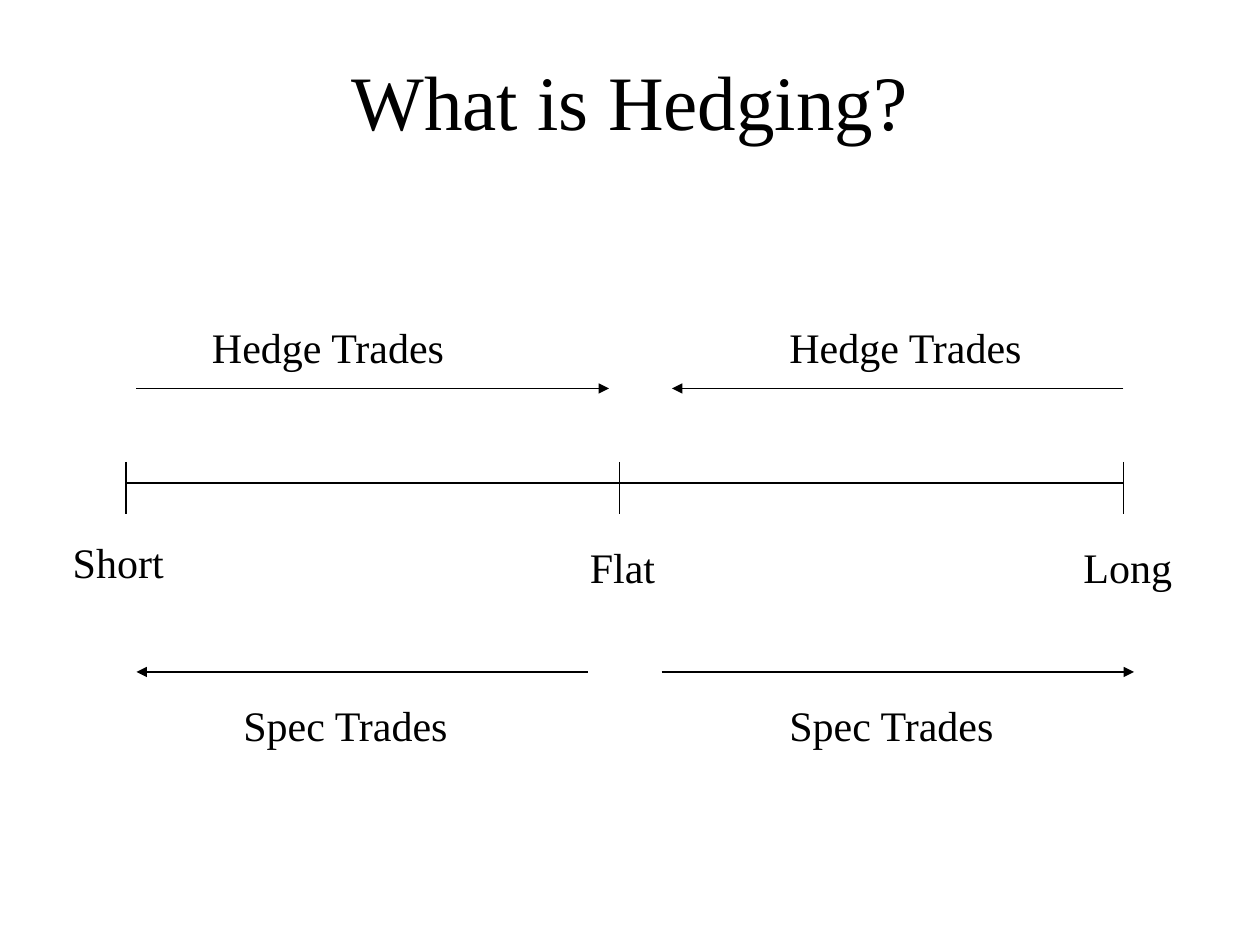
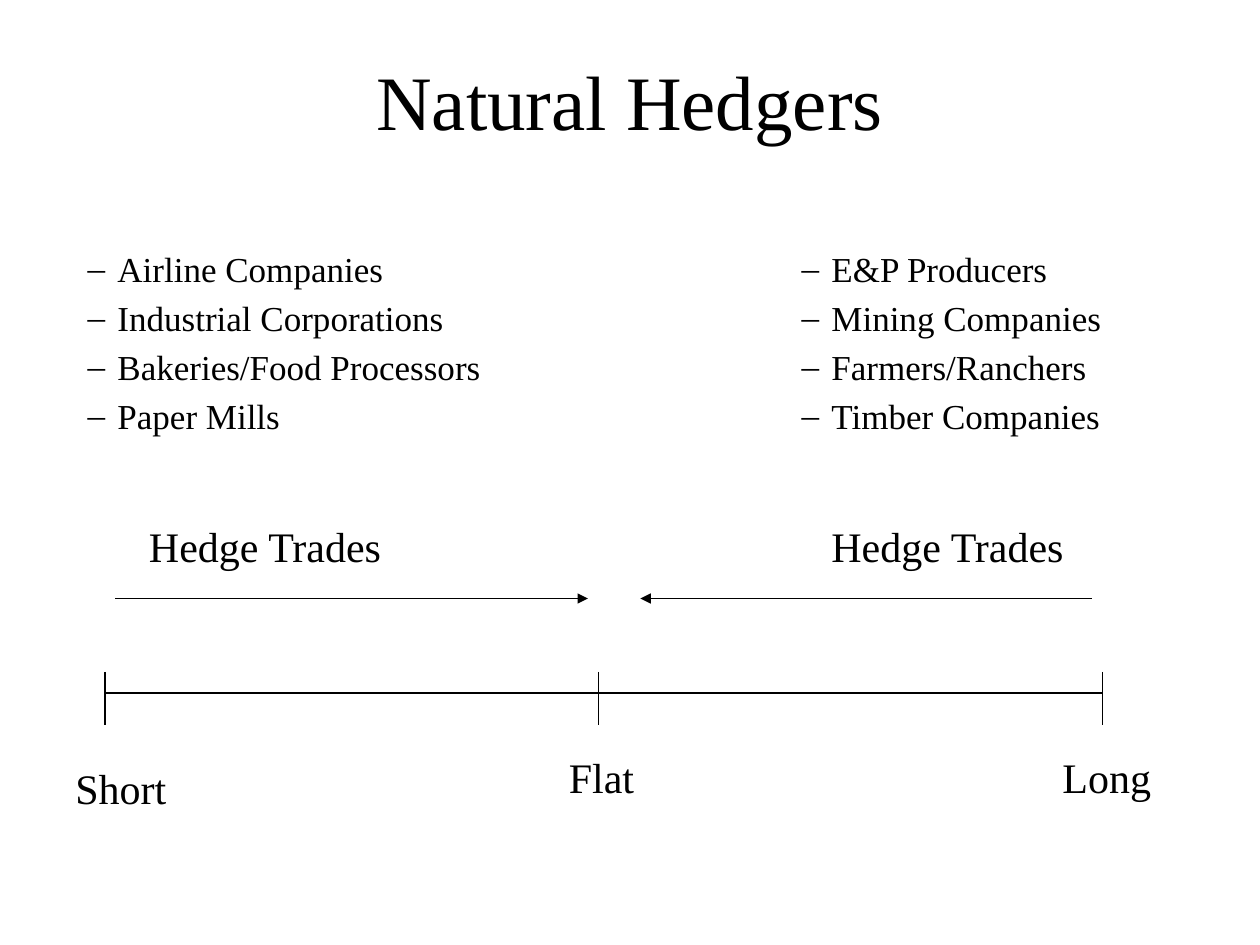
from dataclasses import dataclass

import lxml.etree
import pptx
import pptx.dml.color
import pptx.enum.shapes
import pptx.enum.text
import pptx.oxml.ns
import pptx.shapes.connector
import pptx.slide
import pptx.util

Pt = pptx.util.Pt
Align = pptx.enum.text.PP_ALIGN
AutoSize = pptx.enum.text.MSO_AUTO_SIZE


@dataclass(frozen=True)
class Theme:
    font: str = "Times New Roman"
    ink: pptx.dml.color.RGBColor = pptx.dml.color.RGBColor(0, 0, 0)
    title_size: float = 44
    label_size: float = 24
    list_size: float = 20
    line_width: float = 0.75
    label_height: float = 36
    list_height: float = 117
    list_indent: float = 36
    list_hanging: float = 17
    list_gap: float = 4


THEME = Theme()
LABEL_WIDTHS = {"Short": 67, "Flat": 52, "Long": 65, "Hedge Trades": 148, "Spec Trades": 132}


@dataclass(frozen=True)
class Label:
    text: str
    left: float
    top: float


@dataclass(frozen=True)
class Arrow:
    start: float
    end: float
    y: float


@dataclass(frozen=True)
class Scale:
    left: float
    y: float
    length: float = 570
    middle: float = 282
    tick_above: float = 12
    tick_below: float = 18


@dataclass(frozen=True)
class BulletList:
    left: float
    top: float
    width: float
    items: tuple[str, ...]


@dataclass(frozen=True)
class HedgePage:
    title: str
    scale: Scale
    arrows: tuple[Arrow, ...]
    labels: tuple[Label, ...]
    lists: tuple[BulletList, ...] = ()


PAGES = (
    HedgePage(
        "What is Hedging?",
        Scale(72, 276),
        (Arrow(78, 348, 222), Arrow(642, 384, 222), Arrow(336, 78, 384), Arrow(378, 648, 384)),
        (
            Label("Short", 34.5, 303),
            Label("Hedge Trades", 114, 180),
            Label("Hedge Trades", 444, 180),
            Label("Spec Trades", 132, 396),
            Label("Spec Trades", 444, 396),
        ),
    ),
    HedgePage(
        "Natural Hedgers",
        Scale(60, 396),
        (Arrow(66, 336, 342), Arrow(624, 366, 342)),
        (
            Label("Short", 36, 432),
            Label("Hedge Trades", 78, 294),
            Label("Hedge Trades", 468, 294),
        ),
        (
            BulletList(24, 138, 267, (
                "Airline Companies",
                "Industrial Corporations",
                "Bakeries/Food Processors",
                "Paper Mills",
            )),
            BulletList(432, 138, 214, (
                "E&P Producers",
                "Mining Companies",
                "Farmers/Ranchers",
                "Timber Companies",
            )),
        ),
    ),
)


def add_text(
    page: pptx.slide.Slide,
    text: str,
    left: float,
    top: float,
    width: float,
    height: float,
    size: float,
    align: Align = Align.LEFT,
    wrap: bool = False,
) -> pptx.text.text.TextFrame:
    box = page.shapes.add_textbox(Pt(left), Pt(top), Pt(width), Pt(height))
    frame = box.text_frame
    frame.word_wrap = wrap
    frame.auto_size = AutoSize.NONE if wrap else AutoSize.SHAPE_TO_FIT_TEXT
    frame.text = text
    for para in frame.paragraphs:
        para.alignment = align
        for span in para.runs:
            span.font.name = THEME.font
            span.font.size = Pt(size)
            span.font.color.rgb = THEME.ink
    return frame


def add_title(page: pptx.slide.Slide, text: str) -> None:
    frame = add_text(page, text, 54, 12, 612, 90, THEME.title_size, Align.CENTER, True)
    frame.vertical_anchor = pptx.enum.text.MSO_ANCHOR.MIDDLE


def add_label(page: pptx.slide.Slide, label: Label) -> None:
    add_text(page, label.text, label.left, label.top, LABEL_WIDTHS[label.text],
             THEME.label_height, THEME.label_size)


def add_list(page: pptx.slide.Slide, bullets: BulletList) -> None:
    frame = add_text(page, "\n".join(bullets.items), bullets.left, bullets.top, bullets.width,
                     THEME.list_height, THEME.list_size)
    for para in frame.paragraphs:
        para.level = 1
        para.space_before = Pt(THEME.list_gap)
        properties = para._p.get_or_add_pPr()
        properties.set("marL", str(Pt(THEME.list_indent)))
        properties.set("indent", str(-Pt(THEME.list_hanging)))
        bullet_font = lxml.etree.SubElement(properties, pptx.oxml.ns.qn("a:buFont"))
        bullet_font.set("typeface", THEME.font)
        bullet = lxml.etree.SubElement(properties, pptx.oxml.ns.qn("a:buChar"))
        bullet.set("char", "–")


def add_line(
    page: pptx.slide.Slide, x1: float, y1: float, x2: float, y2: float
) -> pptx.shapes.connector.Connector:
    line = page.shapes.add_connector(
        pptx.enum.shapes.MSO_CONNECTOR.STRAIGHT, Pt(x1), Pt(y1), Pt(x2), Pt(y2)
    )
    line.line.color.rgb = THEME.ink
    line.line.width = Pt(THEME.line_width)
    lxml.etree.SubElement(line._element.spPr, pptx.oxml.ns.qn("a:effectLst"))
    return line


def add_arrow(page: pptx.slide.Slide, arrow: Arrow) -> None:
    line = add_line(page, arrow.start, arrow.y, arrow.end, arrow.y)
    head = lxml.etree.SubElement(line.line._get_or_add_ln(), pptx.oxml.ns.qn("a:tailEnd"))
    head.set("type", "triangle")


def add_scale(page: pptx.slide.Slide, scale: Scale) -> None:
    add_line(page, scale.left, scale.y, scale.left + scale.length, scale.y)
    for offset in (0, scale.middle, scale.length):
        x = scale.left + offset
        add_line(page, x, scale.y - scale.tick_above, x, scale.y + scale.tick_below)
    add_label(page, Label("Flat", scale.left + 258, scale.y + 30))
    add_label(page, Label("Long", scale.left + 540, scale.y + 30))


def add_page(deck: pptx.presentation.Presentation, content: HedgePage) -> None:
    page = deck.slides.add_slide(deck.slide_layouts[6])
    add_title(page, content.title)
    add_scale(page, content.scale)
    for arrow in content.arrows:
        add_arrow(page, arrow)
    for label in content.labels:
        add_label(page, label)
    for bullets in content.lists:
        add_list(page, bullets)


def main() -> None:
    deck = pptx.Presentation()
    deck.slide_width = Pt(720)
    deck.slide_height = Pt(540)
    for content in PAGES:
        add_page(deck, content)
    deck.save("out.pptx")


if __name__ == "__main__":
    main()
